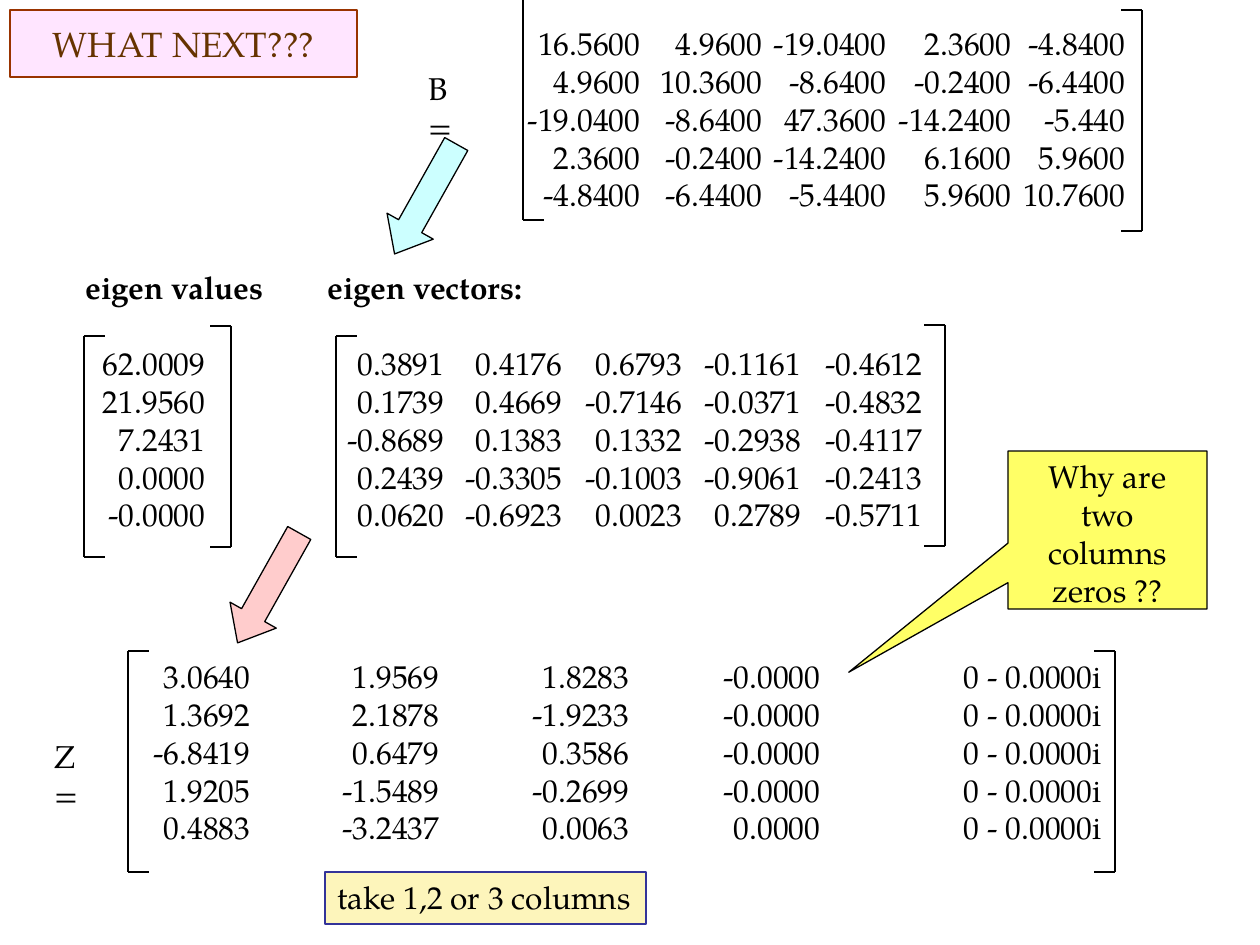
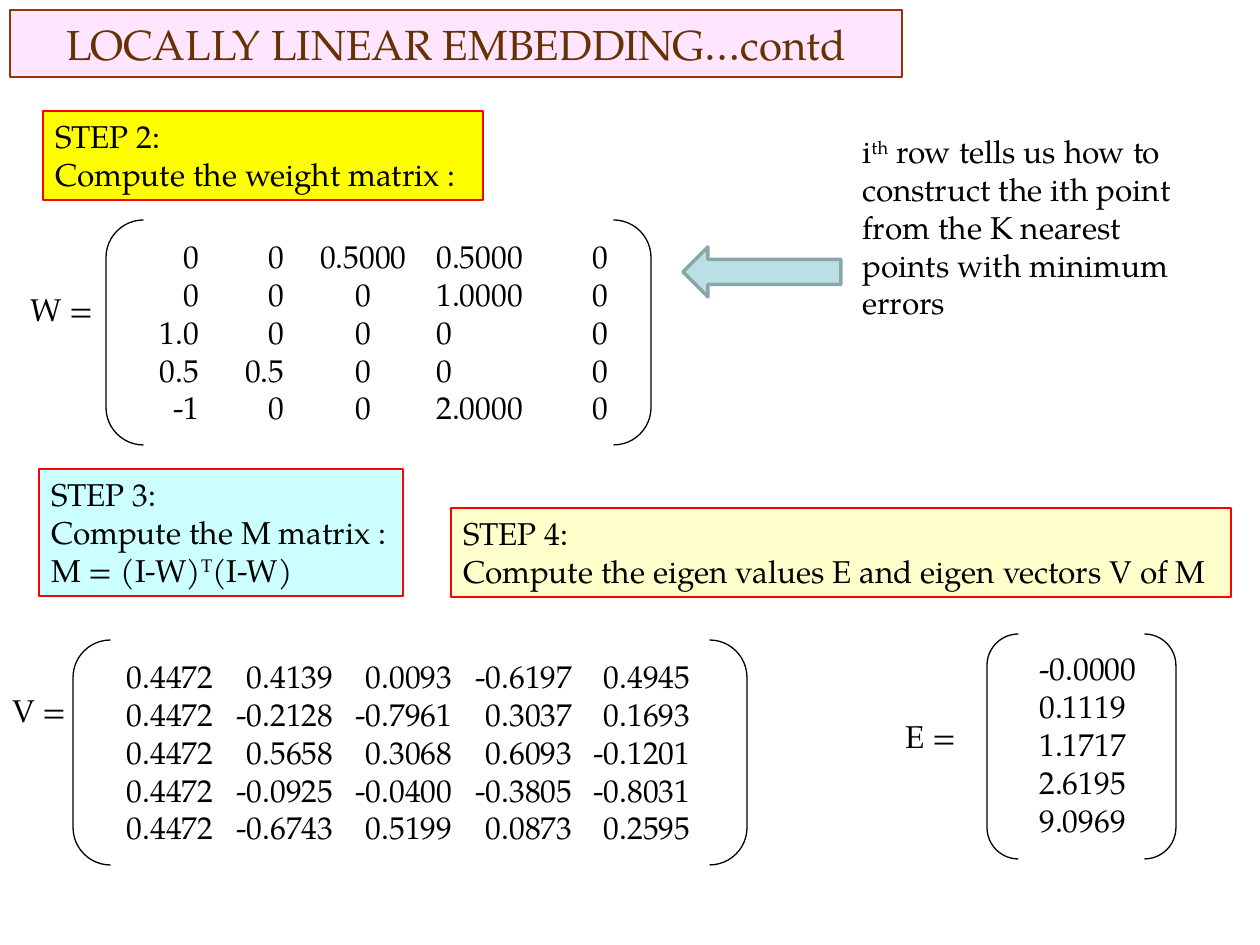
from lxml import etree
from pptx import Presentation
from pptx import util as u
from pptx.dml import color
from pptx.enum import shapes, text
from pptx.oxml import ns

PX = u.Inches(1) / 126
FONT = "TeX Gyre Pagella"
INSET = 13
ROUNDING = 0.2929
TICK = 21
COLORS = {
    "ink": "000000",
    "title_fill": "FFE5FF",
    "title_line": "993300",
    "title_text": "663300",
    "cyan": "CCFFFF",
    "rose": "FFCCCC",
    "callout": "FFFF66",
    "note": "FDF5BB",
    "note_line": "333399",
    "step_line": "FF0000",
    "step_2": "FFFF00",
    "step_4": "FFFFCC",
    "pointer": "BBE0E3",
    "pointer_line": "8AA6A8",
}
SHAPE = shapes.MSO_SHAPE
ALIGN = text.PP_ALIGN


def px(length):
    return u.Emu(round(length * PX))


def rgb(name):
    return color.RGBColor.from_string(COLORS[name])


def add_tabs(paragraph, stops):
    tabs = etree.SubElement(paragraph._p.get_or_add_pPr(), ns.qn("a:tabLst"))
    for position, align in stops:
        etree.SubElement(tabs, ns.qn("a:tab"), pos=str(px(position)), algn=align)


def write(shape, lines, size=18, ink="ink", align=ALIGN.LEFT, bold=False,
          wrap=True, anchor=text.MSO_ANCHOR.TOP, stops=()):
    frame = shape.text_frame
    frame.word_wrap = wrap
    frame.vertical_anchor = anchor
    for number, line in enumerate(lines):
        paragraph = frame.add_paragraph() if number else frame.paragraphs[0]
        paragraph.alignment = align
        if stops:
            add_tabs(paragraph, stops)
        for part, piece in enumerate(line.split("|")):
            run = paragraph.add_run()
            run.text = piece
            if part % 2:
                run._r.get_or_add_rPr().set("baseline", "30000")
        font = paragraph.font
        font.name, font.size, font.bold = FONT, u.Pt(size), bold
        font.color.rgb = rgb(ink)


def add_label(slide, box, line, **style):
    write(slide.shapes.add_textbox(*map(px, box)), [line], **style)


def add_block(slide, kind, box, fill=None, line="ink", width=0.75):
    shape = slide.shapes.add_shape(kind, *map(px, box))
    shape.shadow.inherit = False
    if fill:
        shape.fill.solid()
        shape.fill.fore_color.rgb = rgb(fill)
    else:
        shape.fill.background()
    shape.line.color.rgb = rgb(line)
    shape.line.width = u.Pt(width)
    return shape


def add_title(slide, width, title, size):
    shape = add_block(slide, SHAPE.RECTANGLE, (10, 10, width, 67), "title_fill", "title_line")
    write(shape, [title], size, "title_text", ALIGN.CENTER, anchor=text.MSO_ANCHOR.MIDDLE)


def add_step(slide, box, fill, lines, line="step_line"):
    write(add_block(slide, SHAPE.RECTANGLE, box, fill, line), lines, wrap=False)


def add_down_arrow(slide, left, top, fill):
    arrow = add_block(slide, SHAPE.DOWN_ARROW, (left, top, 53, 126), fill)
    arrow.adjustments[0], arrow.adjustments[1] = 0.5, 0.6
    arrow.rotation = 29.3


def add_line(slide, *ends):
    line = slide.shapes.add_connector(shapes.MSO_CONNECTOR.STRAIGHT, *map(px, ends))
    line.line.color.rgb = rgb("ink")
    line.line.width = u.Pt(0.75)
    etree.SubElement(line._element.spPr, ns.qn("a:effectLst"))


def add_bracket(slide, x, top, bottom, tick, open_top=False):
    add_line(slide, x, top, x, bottom)
    for y in [bottom] if open_top else [top, bottom]:
        add_line(slide, x, y, x + tick, y)


def write_matrix(shape, origin, columns, rows):
    stops = [(x - origin, align) for x, align in columns]
    lines = ["".join("\t" + value for value in row.split()) for row in rows]
    write(shape, lines, stops=stops)


def right_columns(*edges):
    return [(edge, "r") for edge in edges]


def add_matrix(slide, box, columns, rows):
    shape = slide.shapes.add_textbox(*map(px, box))
    write_matrix(shape, box[0] + INSET, columns, rows)


def add_round_matrix(slide, box, columns, rows):
    shape = add_block(slide, SHAPE.DOUBLE_BRACKET, box)
    corner = min(box[2:]) / 6
    write_matrix(shape, box[0] + INSET + corner * ROUNDING, columns, rows)


def build_eigen_slide(slide):
    add_title(slide, 347, "WHAT NEXT???", 20)

    add_matrix(slide, (128, 651, 990, 239),
               right_columns(251, 440, 630, 821), [
                   "3.0640 1.9569 1.8283 -0.0000",
                   "1.3692 2.1878 -1.9233 -0.0000",
                   "-6.8419 0.6479 0.3586 -0.0000",
                   "1.9205 -1.5489 -0.2699 -0.0000",
                   "0.4883 -3.2437 0.0063 0.0000"])
    imaginary = slide.shapes.add_textbox(*map(px, (930, 651, 184, 239)))
    write(imaginary, ["0 - 0.0000i"] * 5, align=ALIGN.RIGHT)
    add_bracket(slide, 128, 651, 872, TICK)
    add_bracket(slide, 1115, 651, 872, -TICK)
    add_label(slide, (42, 731, 55, 90), "Z=")

    add_matrix(slide, (510, 18, 634, 239),
               right_columns(641, 763, 887, 1012, 1126), [
                   "16.5600 4.9600 -19.0400 2.3600 -4.8400",
                   "4.9600 10.3600 -8.6400 -0.2400 -6.4400",
                   "-19.0400 -8.6400 47.3600 -14.2400 -5.440",
                   "2.3600 -0.2400 -14.2400 6.1600 5.9600",
                   "-4.8400 -6.4400 -5.4400 5.9600 10.7600"])
    add_bracket(slide, 523, 0, 220, TICK, open_top=True)
    add_bracket(slide, 1142, 10, 231, -TICK)
    add_label(slide, (416, 63, 55, 90), "B =")

    add_label(slide, (315, 262, 300, 50), "eigen vectors:", bold=True)
    add_matrix(slide, (315, 338, 640, 239),
               right_columns(445, 563, 683, 802, 923), [
                   "0.3891 0.4176 0.6793 -0.1161 -0.4612",
                   "0.1739 0.4669 -0.7146 -0.0371 -0.4832",
                   "-0.8689 0.1383 0.1332 -0.2938 -0.4117",
                   "0.2439 -0.3305 -0.1003 -0.9061 -0.2413",
                   "0.0620 -0.6923 0.0023 0.2789 -0.5711"])
    add_bracket(slide, 336, 336, 557, TICK)
    add_bracket(slide, 945, 325, 546, -TICK)

    add_label(slide, (73, 262, 220, 50), "eigen values", bold=True)
    add_matrix(slide, (73, 338, 204, 239), right_columns(206),
               ["62.0009", "21.9560", "7.2431", "0.0000", "-0.0000"])
    add_bracket(slide, 84, 336, 557, TICK)
    add_bracket(slide, 231, 326, 547, -TICK)

    add_down_arrow(slide, 399, 136, "cyan")
    add_down_arrow(slide, 242, 525, "rose")

    callout = add_block(slide, SHAPE.RECTANGULAR_CALLOUT, (1008, 451, 199, 158), "callout")
    callout.adjustments[0], callout.adjustments[1] = -1.3, 0.9
    write(callout, ["Why are two columns zeros ??"], align=ALIGN.CENTER)
    add_step(slide, (325, 872, 321, 52), "note", ["take 1,2 or 3 columns"], "note_line")


def build_embedding_slide(slide):
    add_title(slide, 892, "LOCALLY LINEAR EMBEDDING…contd", 24)

    add_step(slide, (43, 111, 440, 89), "step_2",
             ["STEP 2:", "Compute the weight matrix :"])
    add_round_matrix(slide, (106, 220, 545, 225),
                     [(200, "r"), (285, "r"), (364, "ctr"), (437, "l"), (609, "r")], [
                         "0 0 0.5000 0.5000 0",
                         "0 0 0 1.0000 0",
                         "1.0 0 0 0 0",
                         "0.5 0.5 0 0 0",
                         "-1 0 0 2.0000 0"])
    add_label(slide, (18, 284, 92, 50), "W =", wrap=False)
    add_block(slide, SHAPE.LEFT_ARROW, (683, 247, 158, 50), "pointer", "pointer_line", 2)
    add_label(slide, (850, 126, 378, 204),
              "i|th| row tells us how to construct the ith point "
              "from the K nearest points with minimum errors")

    add_step(slide, (39, 469, 364, 127), "cyan",
             ["STEP 3:", "Compute the M matrix :", "M = (I-W)|T|(I-W)"])
    add_step(slide, (451, 508, 780, 89), "step_4",
             ["STEP 4:", "Compute the eigen values E and eigen vectors V of M"])

    add_label(slide, (0, 685, 83, 50), "V =", wrap=False)
    add_round_matrix(slide, (73, 640, 674, 225),
                     right_columns(214, 334, 453, 573, 691), [
                         "0.4472 0.4139 0.0093 -0.6197 0.4945",
                         "0.4472 -0.2128 -0.7961 0.3037 0.1693",
                         "0.4472 0.5658 0.3068 0.6093 -0.1201",
                         "0.4472 -0.0925 -0.0400 -0.3805 -0.8031",
                         "0.4472 -0.6743 0.5199 0.0873 0.2595"])
    add_round_matrix(slide, (987, 634, 189, 225), [(1040, "l")],
                     ["-0.0000", "0.1119", "1.1717", "2.6195", "9.0969"])
    add_label(slide, (893, 711, 79, 50), "E =", wrap=False)


def main():
    presentation = Presentation()
    presentation.slide_width, presentation.slide_height = px(1260), px(945)
    for build in (build_eigen_slide, build_embedding_slide):
        build(presentation.slides.add_slide(presentation.slide_layouts[6]))
    presentation.save("out.pptx")


if __name__ == "__main__":
    main()
